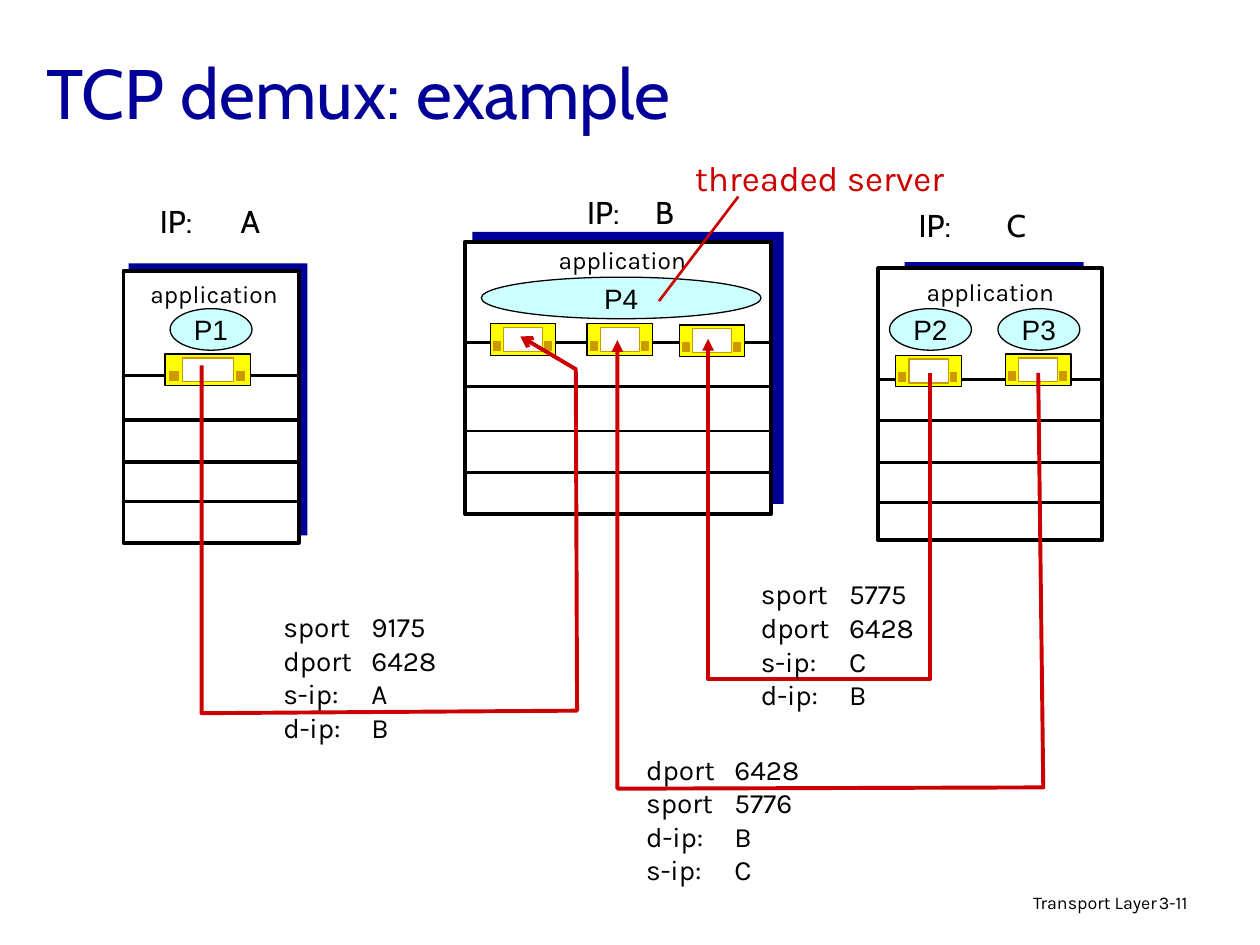
from lxml import etree
from pptx import Presentation
from pptx import util as u
from pptx.dml.color import RGBColor
from pptx.enum import shapes, text
from pptx.oxml import ns

COLORS = {
    "navy": "000099", "black": "000000", "white": "FFFFFF", "red": "CC0000",
    "cyan": "CCFFFF", "yellow": "FFFF00", "ochre": "CC9900",
}
RECT, OVAL = shapes.MSO_SHAPE.RECTANGLE, shapes.MSO_SHAPE.OVAL
LEFT, CENTER, RIGHT = text.PP_ALIGN.LEFT, text.PP_ALIGN.CENTER, text.PP_ALIGN.RIGHT
TOP, MIDDLE = text.MSO_ANCHOR.TOP, text.MSO_ANCHOR.MIDDLE

# All offsets are relative to the host's box: shadow and processes are (x, y, width),
# sockets (x, y, width), rows are heights, ip is (x, y, indent, tab).
HOSTS = [
    dict(box=(0.98, 2.15, 1.39, 2.16), shadow=(0.04, -0.06, 1.42), weight=2.25,
         rows=(0.83, 1.18, 1.52, 1.83), app=(0, -0.01),
         name="A", ip=(-0.03, -0.54, 0.32, 0.64),
         processes=[("P1", 0.37, 0.3, 0.65)], sockets=[(0.33, 0.66, 0.68)]),
    dict(box=(3.69, 1.92, 2.43, 2.16), shadow=(0.06, -0.08, 2.47), weight=1.5,
         rows=(0.8, 1.15, 1.5, 1.83), app=(0.53, -0.05),
         name="B", ip=(0.6, -0.38, 0.37, 0.54),
         processes=[("P4", 0.13, 0.28, 2.22)],
         sockets=[(0.2, 0.65, 0.52), (0.97, 0.65, 0.52), (1.7, 0.66, 0.52)]),
    dict(box=(6.97, 2.13, 1.78, 2.16), shadow=(0.21, -0.05, 1.42), weight=1.5,
         rows=(0.88, 1.21, 1.54, 1.86), app=(0.17, 0),
         name="C", ip=(0.03, -0.49, 0.29, 0.7),
         processes=[("P2", 0.09, 0.32, 0.65), ("P3", 0.95, 0.32, 0.65)],
         sockets=[(0.14, 0.69, 0.52), (1.01, 0.68, 0.52)]),
]

# (points, arrowhead element, arrowhead type)
CONNECTIONS = [
    ([(1.6, 2.9), (1.6, 5.66), (4.58, 5.64), (4.57, 2.93), (4.13, 2.67)],
     "a:tailEnd", "arrow"),
    ([(4.9, 2.7), (4.9, 6.26), (8.28, 6.25), (8.24, 2.96)], "a:headEnd", "triangle"),
    ([(5.62, 2.69), (5.62, 5.39), (7.38, 5.39), (7.38, 2.96)], "a:headEnd", "triangle"),
]

SEGMENTS = [
    ((5.94, 4.53), ["sport\t5775", "dport\t6428", "s-ip:\tC", "d-ip:\tB"]),
    ((2.15, 4.79), ["sport\t9175", "dport\t6428", "s-ip:\tA", "d-ip:\tB"]),
    ((5.03, 5.92), ["dport\t6428", "sport\t5776", "d-ip:\tB", "s-ip:\tC"]),
]


def rgb(color):
    return RGBColor.from_string(COLORS[color])


def inches(values):
    return [u.Inches(v) for v in values]


def write(sp, lines, size, font="Karla", color="black", align=LEFT, anchor=TOP,
          spacing=None, tab=None, wrap=True):
    tf = sp.text_frame
    tf.word_wrap = wrap
    tf.vertical_anchor = anchor
    tf.text = "\n".join(lines)
    for p in tf.paragraphs:
        p.alignment = align
        if spacing:
            p.line_spacing = spacing
        if tab:
            tabs = etree.SubElement(p._p.get_or_add_pPr(), ns.qn("a:tabLst"))
            etree.SubElement(tabs, ns.qn("a:tab"), pos=str(u.Inches(tab)), algn="l")
        for r in p.runs:
            r.font.name = font
            r.font.size = u.Pt(size)
            r.font.color.rgb = rgb(color)


def add_label(s, box, lines, size, **style):
    sp = s.shapes.add_textbox(*inches(box))
    write(sp, lines, size, **style)
    return sp


def add_box(parent, kind, box, fill, line=None, weight=0.75):
    sp = parent.shapes.add_shape(kind, *inches(box))
    sp.shadow.inherit = False
    sp.fill.solid()
    sp.fill.fore_color.rgb = rgb(fill)
    if line:
        sp.line.color.rgb = rgb(line)
        sp.line.width = u.Pt(weight)
    else:
        sp.line.fill.background()
    return sp


def add_line(s, start, end, color, weight):
    c = s.shapes.add_connector(shapes.MSO_CONNECTOR.STRAIGHT, *inches(start + end))
    c.line.color.rgb = rgb(color)
    c.line.width = u.Pt(weight)
    etree.SubElement(c._element.spPr, ns.qn("a:effectLst"))


def add_socket(s, x, y, w):
    """Yellow port with a white screen and two small ochre keys."""
    grp = s.shapes.add_group_shape()
    add_box(grp, RECT, (x, y, w, 0.25), "yellow", "black")
    add_box(grp, RECT, (x + 0.2 * w, y + 0.03, 0.6 * w, 0.19), "white", "ochre")
    for key in (0.05, 0.83):
        add_box(grp, RECT, (x + key * w, y + 0.14, 0.1 * w, 0.07), "ochre", "ochre")


def add_host(s, box, shadow, weight, rows, app, name, ip, processes, sockets):
    x, y, w, h = box
    dx, dy, shadow_w = shadow
    add_box(s, RECT, (x + dx, y + dy, shadow_w, h), "navy")
    add_box(s, RECT, box, "white", "black", 2.25)
    for row in rows:
        add_line(s, (x, y + row), (x + w, y + row), "black", weight)
    add_label(s, (x + app[0], y + app[1], 1.44, 0.36), ["application"], 14,
              align=CENTER, spacing=1.1)
    dx, dy, indent, tab = ip
    sp = add_label(s, (x + dx, y + dy, 1.44, 0.34), [f"IP:\t{name}"], 18,
                   font="Cabin", spacing=0.8, tab=tab)
    sp.text_frame.margin_left = u.Inches(indent)
    for process, dx, dy, process_w in processes:
        sp = add_box(s, OVAL, (x + dx, y + dy, process_w, 0.33), "cyan", "black")
        write(sp, [process], 16, font="Arial", align=CENTER, anchor=MIDDLE, wrap=False)
    for dx, dy, socket_w in sockets:
        add_socket(s, x + dx, y + dy, socket_w)


def add_connection(s, points, end, head):
    first, *rest = [tuple(inches(pt)) for pt in points]
    fb = s.shapes.build_freeform(*first)
    fb.add_line_segments(rest, close=False)
    sp = fb.convert_to_shape()
    sp.shadow.inherit = False
    sp.fill.background()
    sp.line.color.rgb = rgb("red")
    sp.line.width = u.Pt(2.25)
    etree.SubElement(sp.line._get_or_add_ln(), ns.qn(end), type=head)


def add_title_and_footer(s):
    add_label(s, (0.27, 0.22, 8.84, 1.02), ["TCP demux: example"], 40,
              font="Cabin", color="navy", anchor=MIDDLE)
    add_label(s, (6.11, 7.05, 3.17, 0.31), ["Transport Layer"], 10.2,
              align=RIGHT, spacing=0.9)
    add_label(s, (9.1, 7.05, 0.74, 0.31), ["3-11"], 10.2, spacing=0.9)


def add_callout(s):
    add_label(s, (5.36, 1.19, 2.29, 0.44), ["threaded server"], 20,
              color="red", align=CENTER, wrap=False)
    add_line(s, (5.86, 1.56), (5.23, 2.39), "red", 1.5)


def main():
    prs = Presentation()
    prs.slide_width, prs.slide_height = inches((10, 7.5))
    s = prs.slides.add_slide(prs.slide_layouts[6])
    add_title_and_footer(s)
    for host in HOSTS:
        add_host(s, **host)
    for connection in CONNECTIONS:
        add_connection(s, *connection)
    for (x, y), lines in SEGMENTS:
        add_label(s, (x, y, 1.57, 1.17), lines, 16, tab=0.7)
    add_callout(s)
    prs.save("out.pptx")


if __name__ == "__main__":
    main()
